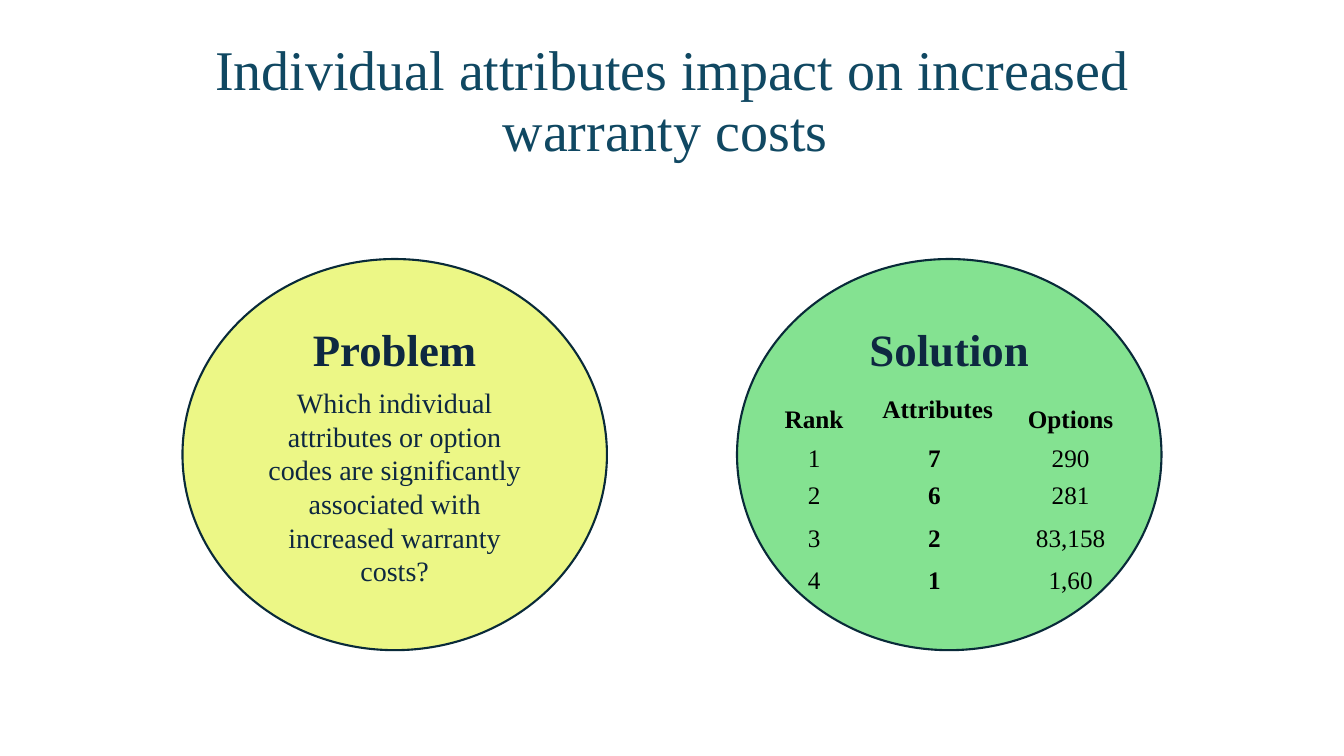
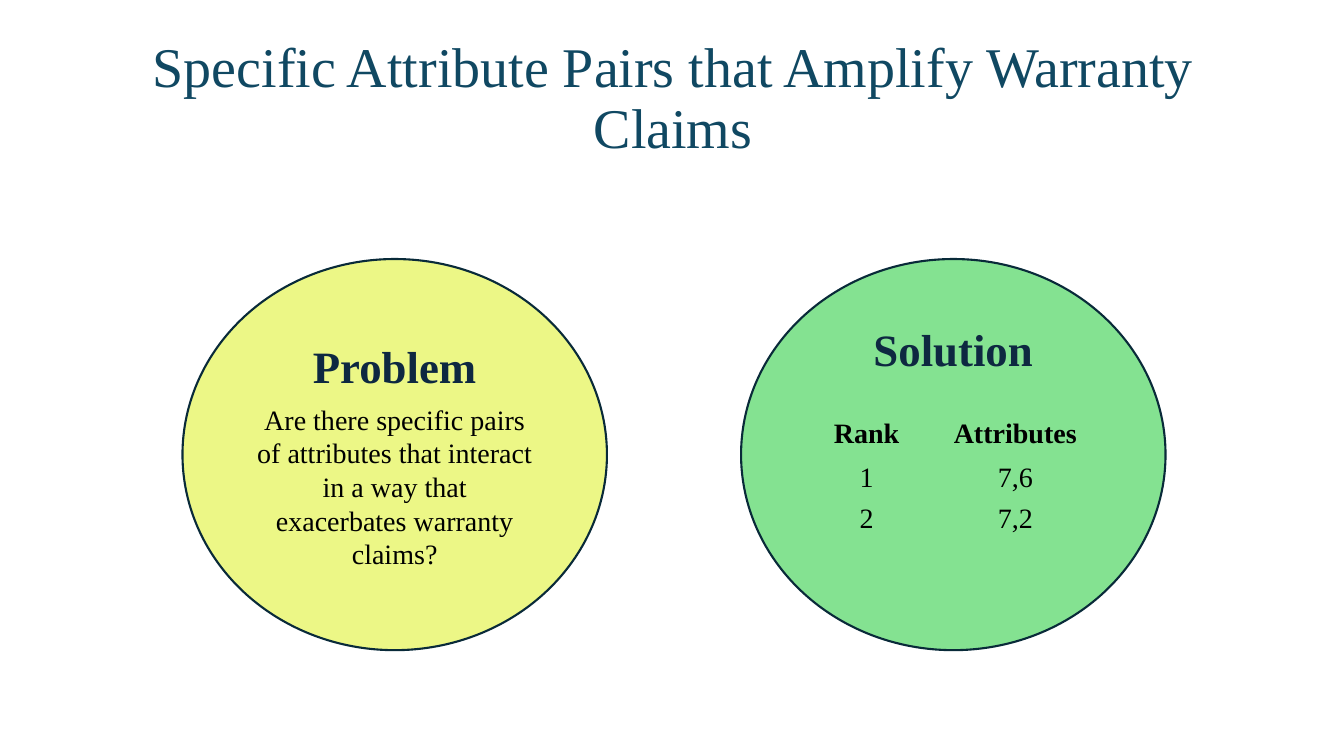
"""Builds two problem and solution slides about warranty costs."""
from pptx import Presentation
from pptx import util as u
from pptx.dml.color import RGBColor
from pptx.enum import shapes, text

FONT = "Times New Roman"
NBSP = chr(160)
COLORS = {"title": "104862", "heading": "0E2841", "body": "000000",
          "problem": "ECF786", "solution": "84E291", "outline": "092A39"}
OVAL = {"top": 2.57, "width": 4.21, "height": 3.88}
PROBLEM_LEFT = 1.81
MARGINS = {"margin_left": 0.07, "margin_right": 0.07,
           "margin_top": 0.05, "margin_bottom": 0.05}

SLIDES = [
    {"title": "Individual attributes impact on increased warranty costs" + NBSP,
     "title_box": (1.37, 0.62, 10.59, 0.8),
     "question": "Which individual attributes or option codes are significantly "
                 "associated with increased warranty costs?",
     "question_color": "heading",
     "solution_left": 7.31,
     "table": {"at": (7.55, 3.97), "size": 18, "bold_column": 1,
               "columns": (1.11, 1.28, 1.42),
               "heights": (0.3, 0.3, 0.43, 0.43, 0.41),
               "rows": [("Rank", "Attributes", "Options"),
                        ("1", "7", "290"),
                        ("2", "6", "281"),
                        ("3", "2", "83,158"),
                        ("4", "1", "1,60")]}},
    {"title": "Specific Attribute Pairs that Amplify Warranty Claims",
     "title_box": (0.93, 0.59, 11.49, 0.8),
     "question": "Are there specific pairs of attributes that interact in a way "
                 "that exacerbates warranty claims?",
     "question_color": "body",
     "solution_left": 7.35,
     "table": {"at": (7.97, 4.13), "size": 20, "bold_column": None,
               "columns": (1.32, 1.63),
               "heights": (0.48, 0.38, 0.43),
               "rows": [("Rank", "Attributes"), ("1", "7,6"), ("2", "7,2")]}},
]


def rgb(name):
    return RGBColor.from_string(COLORS[name])


def write(p, words, size, color, bold=False, **spacing):
    p.alignment = text.PP_ALIGN.CENTER
    for key, value in spacing.items():
        setattr(p, key, value)
    r = p.add_run()
    r.text = words
    for key, value in {"name": FONT, "size": u.Pt(size), "bold": bold}.items():
        setattr(r.font, key, value)
    r.font.color.rgb = rgb(color)


def add_title(s, words, box):
    sp = s.shapes.title
    for key, value in zip(("left", "top", "width", "height"), box):
        setattr(sp, key, u.Inches(value))
    tf = sp.text_frame
    tf.auto_size = text.MSO_AUTO_SIZE.NONE
    tf.vertical_anchor = text.MSO_ANCHOR.MIDDLE
    write(tf.paragraphs[0], words, 40, "title", line_spacing=0.9)


def add_oval(s, left, heading, fill, anchor):
    sp = s.shapes.add_shape(shapes.MSO_SHAPE.OVAL, u.Inches(left),
                            *(u.Inches(v) for v in OVAL.values()))
    sp.shadow.inherit = False
    sp.fill.solid()
    sp.fill.fore_color.rgb = rgb(fill)
    sp.line.color.rgb = rgb("outline")
    sp.line.width = u.Pt(1.5)
    tf = sp.text_frame
    tf.word_wrap = True
    tf.vertical_anchor = anchor
    write(tf.paragraphs[0], heading, 32, "heading", True)
    return tf


def add_ranking(s, at, size, bold_column, columns, heights, rows):
    box = (*at, sum(columns), sum(heights))
    table = s.shapes.add_table(len(rows), len(columns),
                               *(u.Inches(v) for v in box)).table
    table.first_row = table.horz_banding = False
    table._tbl.tblPr[0].text = "{2D5ABB26-0587-4C30-8999-92F81FD0307C}"
    for column, width in zip(table.columns, columns):
        column.width = u.Inches(width)
    for i, (row, height) in enumerate(zip(table.rows, heights)):
        row.height = u.Inches(height)
        for j, cell in enumerate(row.cells):
            cell.fill.background()
            cell.vertical_anchor = text.MSO_ANCHOR.MIDDLE
            for key, value in MARGINS.items():
                setattr(cell, key, u.Inches(value))
            write(cell.text_frame.paragraphs[0], rows[i][j] + NBSP, size, "body",
                  i == 0 or j == bold_column, line_spacing=u.Pt(13.5))


def main():
    prs = Presentation()
    prs.slide_width, prs.slide_height = u.Inches(13.33), u.Inches(7.5)
    for content in SLIDES:
        s = prs.slides.add_slide(prs.slide_layouts[5])
        add_title(s, content["title"], content["title_box"])
        tf = add_oval(s, PROBLEM_LEFT, "Problem", "problem", text.MSO_ANCHOR.MIDDLE)
        write(tf.add_paragraph(), content["question"], 20,
              content["question_color"], space_before=u.Pt(7))
        add_oval(s, content["solution_left"], "Solution", "solution",
                 text.MSO_ANCHOR.TOP)
        add_ranking(s, **content["table"])
    prs.save("out.pptx")


if __name__ == "__main__":
    main()
